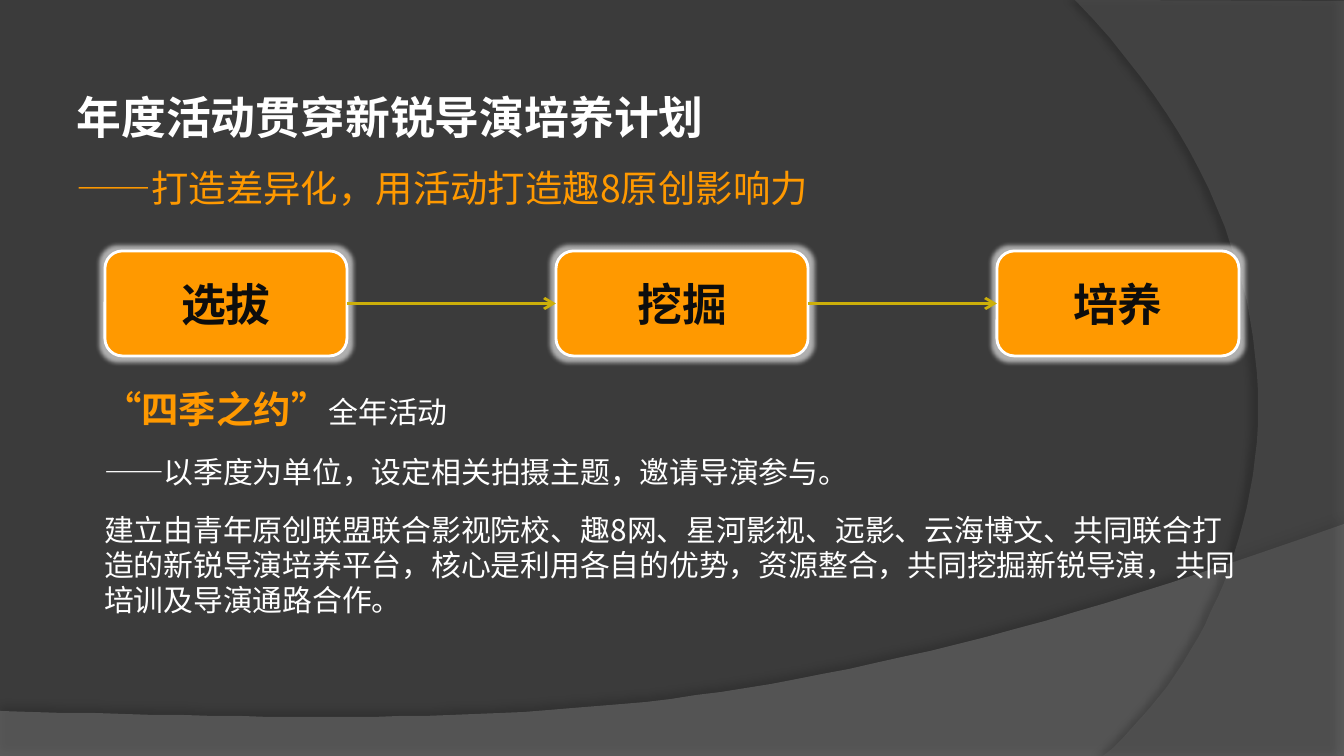
from lxml.etree import SubElement
from pptx import Presentation
from pptx.dml.color import RGBColor
from pptx.enum.shapes import MSO_CONNECTOR, MSO_SHAPE
from pptx.enum.text import MSO_ANCHOR, MSO_AUTO_SIZE, PP_ALIGN
from pptx.oxml.ns import qn
from pptx.util import Emu, Pt

EMU_PER_PX = 914400 / 134.4
FONT = "Noto Sans CJK SC"
WHITE, ORANGE, GOLD, INK = "FFFFFF", "FF9900", "CCAF0A", "0D0D0D"
STEPS = [("选拔", 105, 242), ("挖掘", 556, 252), ("培养", 997, 242)]
STEP_TOP, STEP_HEIGHT = 251, 105
TITLE = [
    (43, [("年度活动贯穿新锐导演培养计划", 24, WHITE, True)]),
    (36, [("——打造差异化，用活动打造趣8原创影响力", 20, ORANGE, False)]),
]
BODY = [
    (24, [("“四季之约”", 20, ORANGE, True), ("全年活动", 16, WHITE, False)]),
    (19, [("——以季度为单位，设定相关拍摄主题，邀请导演参与。", 16, WHITE, False)]),
    (19, [("建立由青年原创联盟联合影视院校、趣8网、星河影视、远影、云海博文、共同联合"
           "打造的新锐导演培养平台，核心是利用各自的优势，资源整合，共同挖掘新锐导演，"
           "共同培训及导演通路合作。", 16, WHITE, False)]),
]


def px(n):
    """Convert pixels to EMU."""
    return Emu(round(n * EMU_PER_PX))


def rgb(code):
    """Turn a hex string into a colour."""
    return RGBColor.from_string(code)


def add_color(parent, code, alpha):
    """Append a colour with an opacity in percent."""
    color = SubElement(parent, qn("a:srgbClr"), val=code)
    SubElement(color, qn("a:alpha"), val=str(alpha * 1000))


def add_effect(s, tag, code, alpha, **attrs):
    """Give a shape one effect in place of the theme's shadow."""
    s.shadow.inherit = False
    effects = s._element.spPr.find(qn("a:effectLst"))
    effect = SubElement(effects, qn(tag), {k: str(v) for k, v in attrs.items()})
    add_color(effect, code, alpha)


def curve(p0, p1, p2, p3, steps=48):
    """Sample a cubic Bezier curve, leaving out its start."""
    points = []
    for i in range(1, steps + 1):
        t = i / steps
        u = 1 - t
        points.append(tuple(
            u**3 * a + 3 * u * u * t * b + 3 * u * t * t * c + t**3 * d
            for a, b, c, d in zip(p0, p1, p2, p3)))
    return points


def add_wave(slide, corners, controls, code, alpha, shade, distance, angle):
    """Draw a translucent background area with one curved edge."""
    builder = slide.shapes.build_freeform(*corners[0], scale=EMU_PER_PX)
    builder.add_line_segments(corners[1:] + curve(corners[-1], *controls))
    s = builder.convert_to_shape()
    s.fill.solid()
    s.fill.fore_color.rgb = rgb(code)
    fill = s._element.spPr.find(qn("a:solidFill"))
    fill.remove(fill[0])
    add_color(fill, code, alpha)
    s.line.fill.background()
    add_effect(s, "a:outerShdw", "000000", shade, blurRad=Pt(4),
               dist=Pt(distance), dir=angle * 60000, rotWithShape=0)


def style_run(r, size, code, bold):
    """Set the font of a run for Latin and East Asian text."""
    r.font.name = FONT
    r.font.size = Pt(size)
    r.font.bold = bold
    r.font.color.rgb = rgb(code)
    SubElement(r._r.get_or_add_rPr(), qn("a:ea"), typeface=FONT)


def fill_text(s, box, paragraphs, gap=0):
    """Place a text shape and fill it with paragraphs of styled runs."""
    s.left, s.top, s.width, s.height = map(px, box)
    tf = s.text_frame
    tf.word_wrap = True
    tf.auto_size = MSO_AUTO_SIZE.NONE
    tf.vertical_anchor = MSO_ANCHOR.TOP
    for i, (leading, runs) in enumerate(paragraphs):
        p = tf.add_paragraph() if i else tf.paragraphs[0]
        p.alignment = PP_ALIGN.LEFT
        p.line_spacing = Pt(leading)
        p.space_before = Pt(gap if i else 0)
        for text, size, code, bold in runs:
            r = p.add_run()
            r.text = text
            style_run(r, size, code, bold)


def add_step(slide, text, left, width):
    """Add one glowing step box."""
    s = slide.shapes.add_shape(MSO_SHAPE.ROUNDED_RECTANGLE, px(left),
                               px(STEP_TOP), px(width), px(STEP_HEIGHT))
    s.fill.solid()
    s.fill.fore_color.rgb = rgb(ORANGE)
    s.line.color.rgb = rgb(WHITE)
    s.line.width = Pt(1.5)
    add_effect(s, "a:glow", WHITE, 60, rad=Pt(5))
    tf = s.text_frame
    tf.text = text
    tf.vertical_anchor = MSO_ANCHOR.MIDDLE
    p = tf.paragraphs[0]
    p.alignment = PP_ALIGN.CENTER
    style_run(p.runs[0], 24, INK, True)


def add_arrow(slide, start, end):
    """Add a horizontal arrow at the middle of the steps."""
    y = px(STEP_TOP + STEP_HEIGHT / 2)
    s = slide.shapes.add_connector(MSO_CONNECTOR.STRAIGHT, px(start), y, px(end), y)
    s.line.color.rgb = rgb(GOLD)
    s.line.width = Pt(1.5)
    SubElement(s.line._get_or_add_ln(), qn("a:tailEnd"), type="arrow")
    SubElement(s._element.spPr, qn("a:effectLst"))


def main():
    """Build and save the slide."""
    prs = Presentation()
    prs.slide_width, prs.slide_height = px(1344), px(756)
    slide = prs.slides.add_slide(prs.slide_layouts[5])
    slide.background.fill.solid()
    slide.background.fill.fore_color.rgb = rgb("3B3B3B")

    add_wave(slide, [(0, 711), (0, 756), (1344, 756), (1344, 524)],
             [(751, 735), (525, 724), (0, 711)], "7F7F7F", 45, 35, 3.5, 270)
    add_wave(slide, [(1344, 1), (1344, 756), (1103, 756)],
             [(1257, 624), (1368, 302), (1075, 0)], "5E5E5E", 40, 45, 4, 180)

    fill_text(slide.shapes.title, (63, 56, 1148, 163), TITLE)
    body = slide.shapes.add_textbox(0, 0, 0, 0)
    fill_text(body, (91, 380, 1159, 258), BODY, gap=12)

    for step in STEPS:
        add_step(slide, *step)
    for (_, left, width), (_, following, _) in zip(STEPS, STEPS[1:]):
        add_arrow(slide, left + width, following)

    prs.save("out.pptx")


if __name__ == "__main__":
    main()
